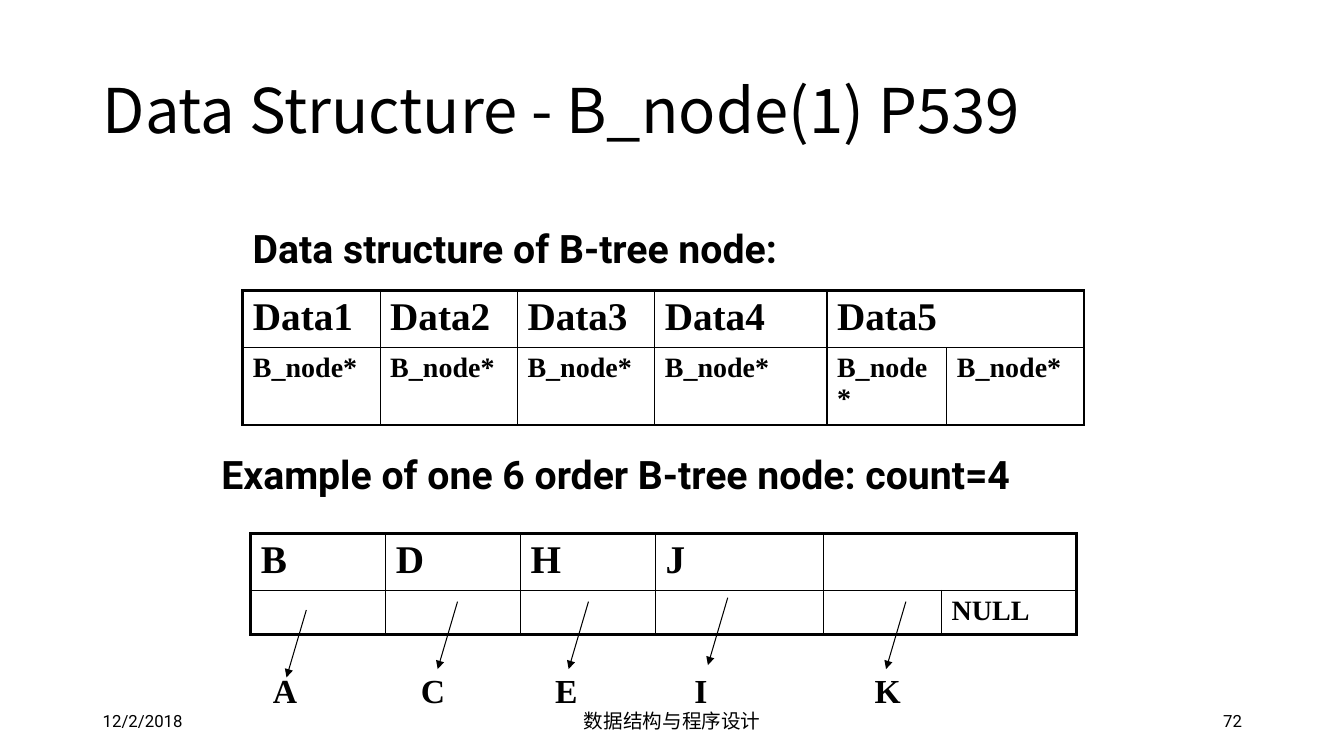
from lxml.etree import SubElement
from pptx import Presentation
from pptx.dml.color import RGBColor
from pptx.enum.shapes import MSO_CONNECTOR
from pptx.enum.text import MSO_ANCHOR, PP_ALIGN
from pptx.oxml import parse_xml
from pptx.oxml.ns import nsdecls, qn
from pptx.util import Cm, Pt


def color(hex_code):
    return RGBColor.from_string(hex_code)


class NodeSlide:
    ink = "000000"
    sans = "Roboto"
    serif = "Times New Roman"
    east_asian = "Noto Sans CJK SC"
    thick, thin = 2.25, 1

    def __init__(self, presentation):
        self.slide = presentation.slides.add_slide(presentation.slide_layouts[6])
        self.slide.background.fill.solid()
        self.slide.background.fill.fore_color.rgb = color("FFFFFF")

    def styled_run(self, paragraph, words, size, font, bold=False):
        run = paragraph.add_run()
        run.text = words
        run.font.size = Pt(size)
        run.font.name = font
        run.font.bold = bold
        run.font.color.rgb = color(self.ink)
        SubElement(run._r.get_or_add_rPr(), qn("a:ea"), typeface=self.east_asian)

    def text(self, box, words, size, font, bold=False, align=PP_ALIGN.LEFT,
             anchor=MSO_ANCHOR.TOP, spacing=1.0, tabs=()):
        frame = self.slide.shapes.add_textbox(*map(Cm, box)).text_frame
        frame.word_wrap = True
        frame.vertical_anchor = anchor
        paragraph = frame.paragraphs[0]
        paragraph.alignment = align
        paragraph.line_spacing = spacing
        if tabs:
            stops = SubElement(paragraph._p.get_or_add_pPr(), qn("a:tabLst"))
            for stop in tabs:
                SubElement(stops, qn("a:tab"), pos=str(Cm(stop)), algn="l")
        self.styled_run(paragraph, words, size, font, bold)

    def borders(self, cell, **widths):
        properties = cell._tc.get_or_add_tcPr()
        for index, (side, width) in enumerate(widths.items()):
            properties.insert(index, parse_xml(
                f'<a:ln{side} {nsdecls("a")} w="{Pt(width)}"><a:solidFill>'
                f'<a:srgbClr val="{self.ink}"/></a:solidFill></a:ln{side}>'))

    def node_table(self, left, top, widths, heights, rows):
        last_row, last_column = len(rows) - 1, len(widths)
        table = self.slide.shapes.add_table(
            len(rows), len(widths), Cm(left), Cm(top),
            Cm(sum(widths)), Cm(sum(heights))).table
        table.first_row = table.horz_banding = False
        for column, width in zip(table.columns, widths):
            column.width = Cm(width)
        for row, height in zip(table.rows, heights):
            row.height = Cm(height)
        table.cell(0, 4).merge(table.cell(0, 5))
        for r, (entries, size) in enumerate(zip(rows, (28, 20))):
            for c, entry in enumerate(entries):
                cell = table.cell(r, c)
                cell.fill.background()
                if entry:
                    self.styled_run(cell.text_frame.paragraphs[0], entry, size,
                                    self.serif, True)
                end = c + (cell.span_width if cell.is_merge_origin else 1)
                self.borders(
                    cell,
                    L=self.thin if c else self.thick,
                    R=self.thick if end == last_column else self.thin,
                    T=self.thin if r else self.thick,
                    B=self.thick if r == last_row else self.thin)

    def arrow(self, x, y, dx, dy):
        pointer = self.slide.shapes.add_connector(
            MSO_CONNECTOR.STRAIGHT, Cm(x), Cm(y), Cm(x + dx), Cm(y + dy))
        pointer.line.color.rgb = color(self.ink)
        pointer.line.width = Pt(0.75)
        SubElement(pointer.line._get_or_add_ln(), qn("a:tailEnd"), type="triangle")
        SubElement(pointer._element.spPr, qn("a:effectLst"))


def main():
    presentation = Presentation()
    presentation.slide_width, presentation.slide_height = Cm(33.87), Cm(19.05)
    page = NodeSlide(presentation)

    page.text((2.34, 1.02, 29.21, 3.68), "Data Structure - B_node(1) P539", 44,
              page.east_asian, anchor=MSO_ANCHOR.MIDDLE, spacing=0.9)
    footers = (
        (2.34, 7.62, "12/2/2018", 12, PP_ALIGN.LEFT),
        (11.23, 11.43, "数据结构与程序设计", 14, PP_ALIGN.CENTER),
        (23.93, 7.62, "72", 12, PP_ALIGN.RIGHT),
    )
    for left, width, words, size, align in footers:
        page.text((left, 17.65, width, 1.02), words, size, page.sans,
                  align=align, anchor=MSO_ANCHOR.MIDDLE)

    page.text((6.12, 5.54, 16.59, 1.45), "Data structure of B-tree node:",
              28, page.sans, True)
    page.node_table(
        6.12, 7.32, (3.46, 3.46, 3.46, 4.34, 3.02, 3.46), (1.37, 1.8),
        ([f"Data{number}" for number in range(1, 6)] + [""], ["B_node*"] * 6))

    page.text((5.33, 11.23, 23.6, 1.45), "Example of one 6 order B-tree node: count=4",
              28, page.sans, True)
    page.node_table(
        6.32, 13.44, (3.4, 3.4, 3.4, 4.24, 2.97, 3.4), (1.43, 1.09),
        (["B", "D", "H", "J", "", ""], [""] * 5 + ["NULL"]))

    page.text((6.63, 16.76, 21.21, 1.27), "\t".join("ACEIK"), 24, page.serif, True,
              tabs=(3.73, 7.11, 10.62, 15.16))
    pointer_starts = ((7.72, 15.37), (11.53, 15.16), (14.83, 15.16),
                      (18.34, 15.06), (22.83, 15.16))
    for x, y in pointer_starts:
        page.arrow(x, y, -0.5, 1.7)

    presentation.save("out.pptx")


if __name__ == "__main__":
    main()
